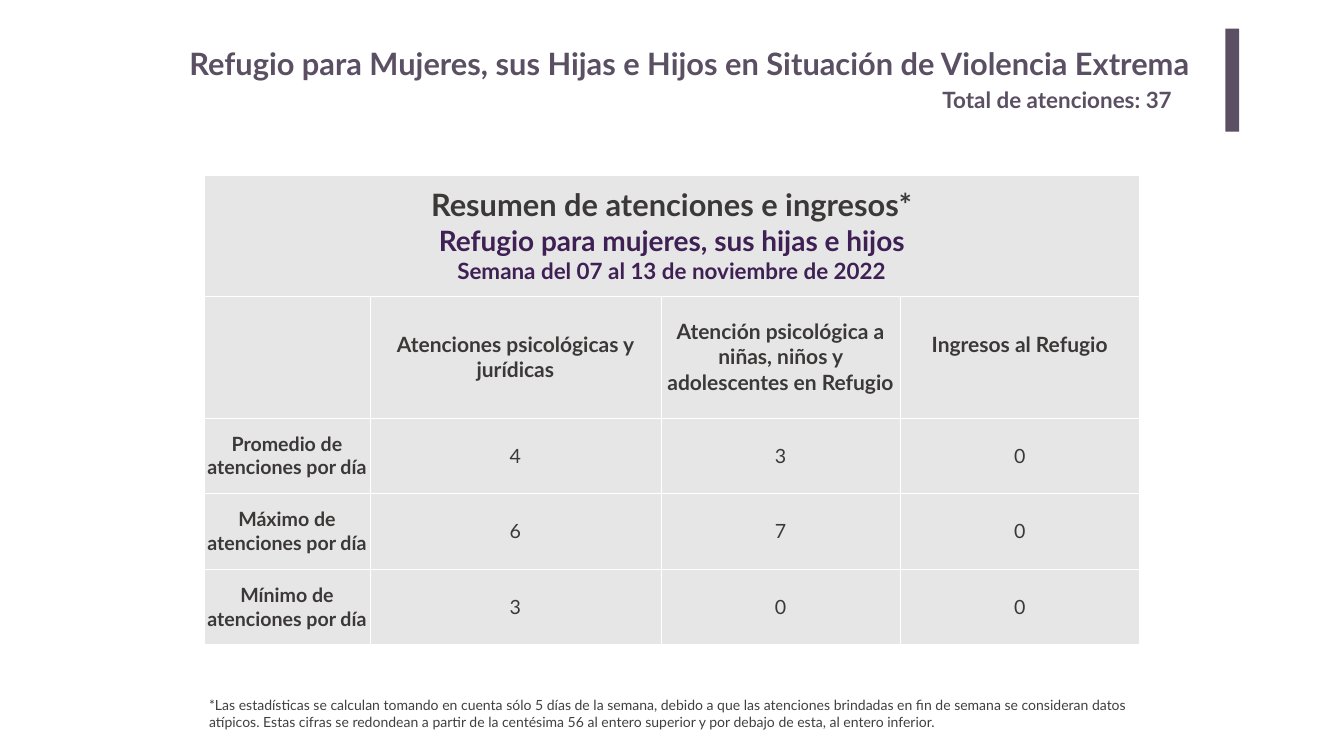
from lxml.etree import SubElement
from pptx import Presentation
from pptx.dml.color import RGBColor
from pptx.enum.shapes import MSO_SHAPE
from pptx.enum.text import MSO_ANCHOR, PP_ALIGN
from pptx.oxml.ns import qn
from pptx.util import Inches, Pt

WIDE, HIGH = 26.67, 15
FONT = "Lato"
HUES = {"plum": "5B4F63", "violet": "3E2054", "dark": "3B3838",
        "note": "404040", "cell": "E7E6E6", "line": "FFFFFF"}

COLS = [3.29, 5.78, 4.75, 4.75]  # relative column widths
ROWS = [2.4, 2.42, 1.5, 1.5, 1.5]  # relative row heights
BANNER = [("Resumen de atenciones e ingresos*", 44, "dark"),
          ("Refugio para mujeres, sus hijas e hijos", 40, "violet"),
          ("Semana del 07 al 13 de noviembre de 2022", 32, "violet")]
HEADS = ["", "Atenciones psicológicas y jurídicas",
         "Atención psicológica a niñas, niños y adolescentes en Refugio",
         "Ingresos al Refugio"]
DATA = [("Promedio", 4, 3, 0), ("Máximo", 6, 7, 0), ("Mínimo", 3, 0, 0)]


def hue(name):
    return RGBColor.from_string(HUES[name])


def part(box, x, y, w, h):
    """Box at the given shares of another box."""
    left, top, wide, high = box
    return left + x * wide, top + y * high, w * wide, h * high


def emu(box):
    return [Inches(v) for v in box]


def write(frame, lines, bold=True, align=PP_ALIGN.LEFT):
    for i, (text, size, tone) in enumerate(lines):
        para = frame.add_paragraph() if i else frame.paragraphs[0]
        para.text, para.alignment = text, align
        font = para.font
        font.name, font.size, font.bold = FONT, Pt(size), bold
        font.color.rgb = hue(tone)


def label(slide, box, text, size, tone, bold=True):
    frame = slide.shapes.add_textbox(*emu(box)).text_frame
    frame.word_wrap = True
    write(frame, [(text, size, tone)], bold)


def edge(cell):
    """White rule of one point on every side."""
    props = cell._tc.get_or_add_tcPr()
    for i, side in enumerate(("lnL", "lnR", "lnT", "lnB")):
        line = props.makeelement(qn(f"a:{side}"), {"w": str(Pt(1))})
        fill = SubElement(line, qn("a:solidFill"))
        SubElement(fill, qn("a:srgbClr"), val=HUES["line"])
        props.insert(i, line)


def fill_cell(cell, lines, bold=True):
    cell.margin_left = cell.margin_right = 0
    cell.margin_top = cell.margin_bottom = 0
    cell.vertical_anchor = MSO_ANCHOR.MIDDLE
    write(cell.text_frame, lines, bold, PP_ALIGN.CENTER)


def header(slide, box):
    # Accent bar
    bar = slide.shapes.add_shape(MSO_SHAPE.RECTANGLE,
                                 *emu(part(box, 0.987, 0, 0.013, 1)))
    bar.shadow.inherit = False
    bar.fill.solid()
    bar.fill.fore_color.rgb = hue("plum")
    bar.line.fill.background()
    # Total and title
    label(slide, part(box, 0.714, 0.53, 0.256, 0.31),
          "Total de atenciones: 37", 32, "plum")
    label(slide, part(box, 0, 0.132, 0.99, 0.41),
          "Refugio para Mujeres, sus Hijas e Hijos en Situación de "
          "Violencia Extrema", 44, "plum")


def summary(slide, box):
    table = slide.shapes.add_table(len(ROWS), len(COLS), *emu(box)).table
    for col, share in zip(table.columns, COLS):
        col.width = Inches(box[2] * share / sum(COLS))
    for row, share in zip(table.rows, ROWS):
        row.height = Inches(box[3] * share / sum(ROWS))
    for cell in table.iter_cells():
        cell.fill.solid()
        cell.fill.fore_color.rgb = hue("cell")
        edge(cell)
    # Banner across all columns
    table.cell(0, 0).merge(table.cell(0, len(COLS) - 1))
    fill_cell(table.cell(0, 0), BANNER)
    # Column heads; the last one sits half a line higher
    for c, text in enumerate(HEADS):
        fill_cell(table.cell(1, c), [(text, 30, "dark")])
    table.cell(1, len(COLS) - 1).margin_bottom = Pt(36)
    # Figures per day
    for r, (name, *nums) in enumerate(DATA, 2):
        fill_cell(table.cell(r, 0),
                  [(f"{name} de atenciones por día", 28, "dark")])
        for c, num in enumerate(nums, 1):
            fill_cell(table.cell(r, c), [(str(num), 28, "dark")], False)


def footnote(slide, box):
    label(slide, box,
          "*Las estadísticas se calculan tomando en cuenta sólo 5 días de la "
          "semana, debido a que las atenciones brindadas en fin de semana se "
          "consideran datos atípicos. Estas cifras se redondean a partir de "
          "la centésima 56 al entero superior y por debajo de esta, al entero "
          "inferior.", 20, "note", False)


def main():
    deck = Presentation()
    deck.slide_width, deck.slide_height = Inches(WIDE), Inches(HIGH)
    slide = deck.slides.add_slide(deck.slide_layouts[6])
    page = (0, 0, WIDE, HIGH)
    left, wide = 4.05 / WIDE, 18.56 / WIDE  # shared by table and footnote
    summary(slide, part(page, left, 3.47 / HIGH, wide, 9.32 / HIGH))
    header(slide, part(page, 3.66 / WIDE, 0.57 / HIGH,
                       20.93 / WIDE, 2.04 / HIGH))
    footnote(slide, part(page, left, 13.77 / HIGH, wide, 0.77 / HIGH))
    deck.save("out.pptx")


if __name__ == "__main__":
    main()
